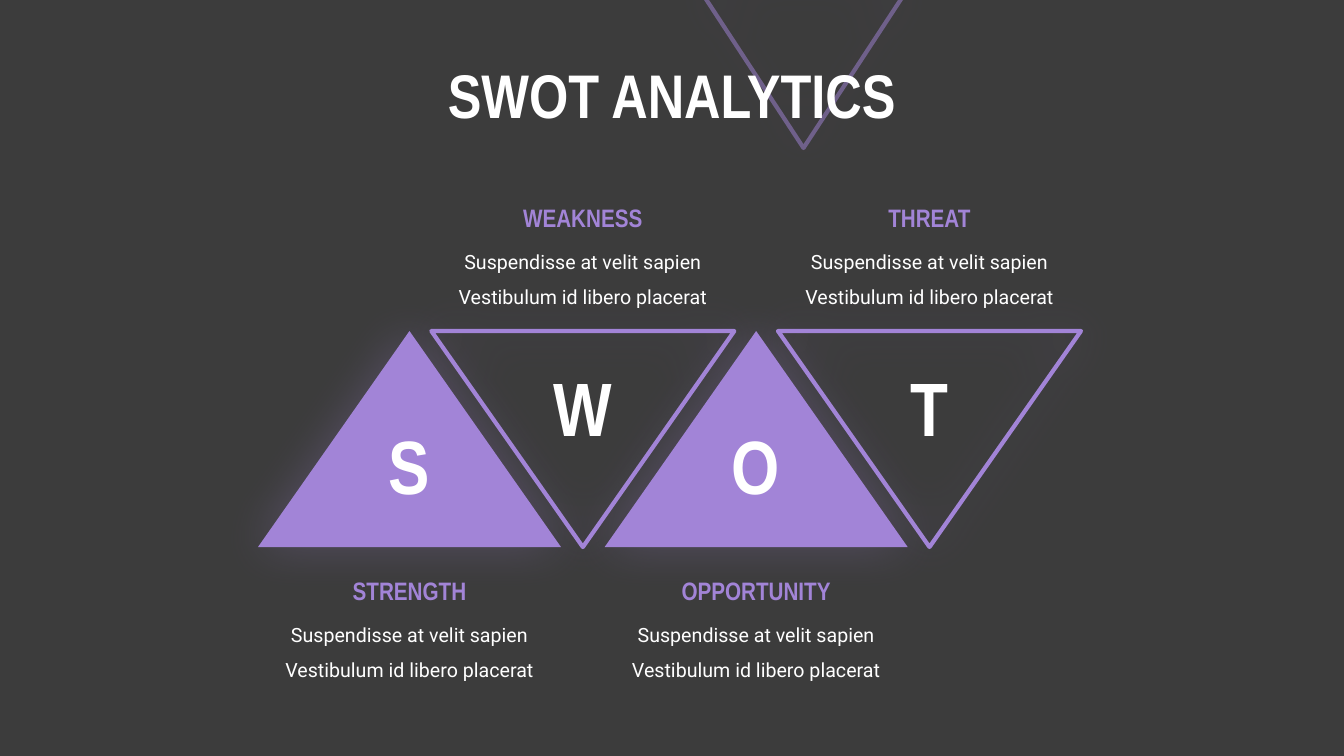
from lxml import etree
from pptx import Presentation
from pptx import util as u
from pptx.dml.color import RGBColor
from pptx.enum import shapes, text
from pptx.oxml.ns import qn

TITLE = "SWOT ANALYTICS"
DETAIL = "Suspendisse at velit sapien Vestibulum id libero placerat"
QUARTERS = [
    ("S", "STRENGTH"),
    ("W", "WEAKNESS"),
    ("O", "OPPORTUNITY"),
    ("T", "THREAT"),
]
COLORS = {"background": "3C3C3C", "accent": "A284D7", "text": "FFFFFF"}
FONTS = {"heading": "Arial Narrow", "body": "Roboto"}

PX = 914400 / 100.8
SLIDE_W, SLIDE_H = 1344, 756
FIRST_LEFT, LAST_LEFT = 258, 778
TRIANGLE_TOP, TRIANGLE_W, TRIANGLE_H = 331, 303, 216
LETTER_SIZE, HEADING_W, HEADING_H, DETAIL_W, DETAIL_H = 102, 247, 40, 300, 78
UPRIGHT = {"letter": 414, "heading": 570, "detail": 606}
INVERTED = {"letter": 356, "heading": 197, "detail": 233}


def px(*lengths):
    return [u.Emu(round(length * PX)) for length in lengths]


def rgb(name):
    return RGBColor.from_string(COLORS[name])


def add_alpha(color, percent):
    etree.SubElement(color, qn("a:alpha"), val=str(percent * 1000))


def add_triangle(left, top, width, height, inverted, opacity=100):
    triangle = slide.shapes.add_shape(
        shapes.MSO_SHAPE.ISOSCELES_TRIANGLE, *px(left, top, width, height))
    triangle.shadow.inherit = False
    if inverted:
        triangle.rotation = 180
        triangle.fill.background()
        triangle.line.color.rgb = rgb("accent")
        triangle.line.width = u.Pt(3)
        if opacity < 100:
            add_alpha(triangle.line.fill._xPr.find(".//" + qn("a:srgbClr")), opacity)
    else:
        triangle.fill.solid()
        triangle.fill.fore_color.rgb = rgb("accent")
        triangle.line.fill.background()
    effects = triangle._element.spPr.find(qn("a:effectLst"))
    glow = etree.SubElement(effects, qn("a:outerShdw"), blurRad=str(u.Pt(35)),
                            dist="0", dir="0", algn="ctr", rotWithShape="0")
    add_alpha(etree.SubElement(glow, qn("a:srgbClr"), val=COLORS["accent"]), 25)


def add_label(words, center, top, width, height, size, color="text",
              font="heading", spacing=None, anchor=text.MSO_ANCHOR.TOP):
    label = slide.shapes.add_textbox(*px(center - width / 2, top, width, height))
    frame = label.text_frame
    frame.word_wrap = True
    frame.vertical_anchor = anchor
    frame.text = words
    line = frame.paragraphs[0]
    line.alignment = text.PP_ALIGN.CENTER
    line.line_spacing = spacing
    style = line.runs[0].font
    style.name = FONTS[font]
    style.size = u.Pt(size)
    style.bold = font == "heading"
    style.color.rgb = rgb(color)


deck = Presentation()
deck.slide_width, deck.slide_height = px(SLIDE_W, SLIDE_H)
slide = deck.slides.add_slide(deck.slide_layouts[6])
slide.background.fill.solid()
slide.background.fill.fore_color.rgb = rgb("background")

add_triangle(700, -10, 207, 158, inverted=True, opacity=50)
add_label(TITLE, SLIDE_W / 2, 49, 685, 99, 44, spacing=0.9,
          anchor=text.MSO_ANCHOR.MIDDLE)

pitch = (LAST_LEFT - FIRST_LEFT) / (len(QUARTERS) - 1)
lefts = [FIRST_LEFT + pitch * i for i in range(len(QUARTERS))]
for i, left in enumerate(lefts):
    add_triangle(left, TRIANGLE_TOP, TRIANGLE_W, TRIANGLE_H, inverted=i % 2 == 1)

for i, (left, (letter, heading)) in enumerate(zip(lefts, QUARTERS)):
    center = left + TRIANGLE_W / 2
    tops = INVERTED if i % 2 else UPRIGHT
    add_label(letter, center, tops["letter"], LETTER_SIZE, LETTER_SIZE, 54)
    add_label(DETAIL, center, tops["detail"], DETAIL_W, DETAIL_H, 14,
              font="body", spacing=1.5)
    add_label(heading, center, tops["heading"], HEADING_W, HEADING_H, 18,
              color="accent")

deck.save("out.pptx")
